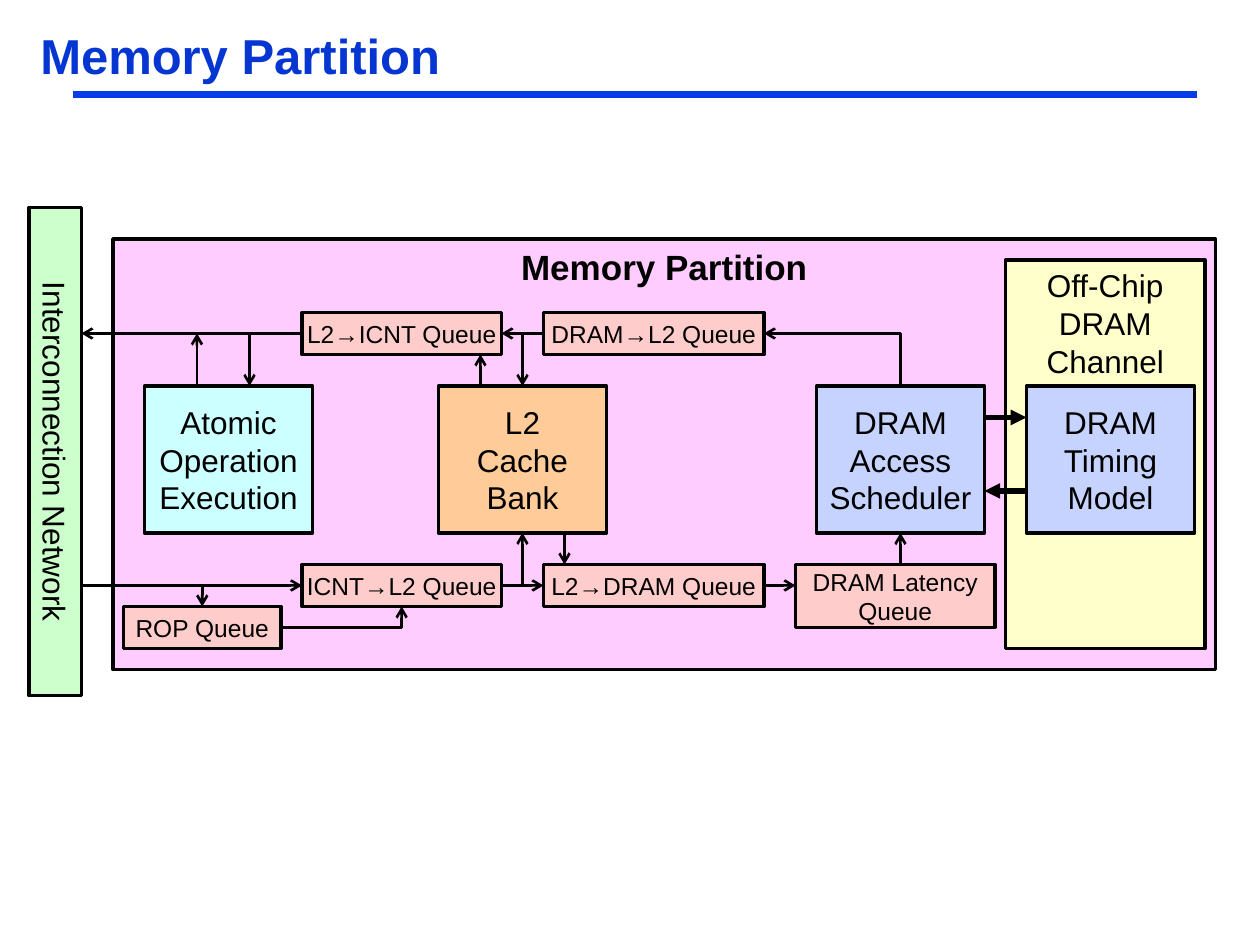
from lxml.etree import SubElement
from pptx import Presentation
from pptx.dml.color import RGBColor
from pptx.enum.shapes import MSO_CONNECTOR, MSO_SHAPE
from pptx.enum.text import MSO_ANCHOR, PP_ALIGN
from pptx.oxml.ns import qn
from pptx.util import Inches, Pt

COLORS = {
    "title": "0536D2", "rule": "063DE8", "black": "000000",
    "network": "CCFFCC", "partition": "FFCCFF", "cache": "FFCC99",
    "dram": "C5D3FE", "channel": "FFFFCC", "atomic": "CCFFFF", "queue": "FFCCCC",
}


def rgb(name):
    return RGBColor.from_string(COLORS[name])


def write(tf, text, size=18, bold=False, color="black", align=PP_ALIGN.CENTER,
          anchor=MSO_ANCHOR.MIDDLE, inset=0.05, spacing=None):
    """Fill a text frame, one paragraph per line of text."""
    tf.word_wrap = True
    tf.vertical_anchor = anchor
    tf.margin_left = tf.margin_right = Inches(inset)
    tf.margin_top = tf.margin_bottom = Inches(min(inset, 0.05))
    for i, line in enumerate(text.split("\n")):
        p = tf.add_paragraph() if i else tf.paragraphs[0]
        p.alignment = align
        if spacing:
            p.line_spacing = spacing
        r = p.add_run()
        r.text = line
        r.font.name = "Arial"
        r.font.size = Pt(size)
        r.font.bold = bold
        r.font.color.rgb = rgb(color)


class Diagram:
    """A slide drawn on a grid of 12 cells to the inch."""
    CELL = 1 / 12
    OFFSET = -0.02

    def __init__(self, slide):
        self.s = slide

    def at(self, cells):
        return Inches(self.OFFSET + cells * self.CELL)

    def title(self, text):
        box = self.s.shapes.add_textbox(Inches(0.25), Inches(0.2), Inches(8.92), Inches(0.5))
        write(box.text_frame, text, size=28, bold=True, color="title", align=PP_ALIGN.LEFT,
              anchor=MSO_ANCHOR.BOTTOM, inset=0.07, spacing=0.87)
        box.text_frame.margin_bottom = Inches(0.03)
        rule = self.s.shapes.add_connector(
            MSO_CONNECTOR.STRAIGHT, Inches(0.58), Inches(0.75), Inches(9.5), Inches(0.75))
        self.style_line(rule, 4.5, "rule")

    def box(self, x, y, w, h, fill, text, turned=False, **fmt):
        """Add a labelled rectangle; turned runs its text downwards."""
        if turned:
            x, y, w, h = x + (w - h) / 2, y + (h - w) / 2, h, w
        sp = self.s.shapes.add_shape(
            MSO_SHAPE.RECTANGLE, self.at(x), self.at(y),
            Inches(w * self.CELL), Inches(h * self.CELL))
        sp.rotation = 90 if turned else 0
        sp.shadow.inherit = False
        sp.fill.solid()
        sp.fill.fore_color.rgb = rgb(fill)
        sp.line.color.rgb = rgb("black")
        sp.line.width = Pt(2)
        write(sp.text_frame, text, **fmt)

    def block(self, x, fill, text):
        self.box(x, 37, 16, 14, fill, text)

    def queue(self, x, y, w, text, h=4):
        self.box(x, y, w, h, "queue", text, size=14, inset=0)

    def style_line(self, line, width, color="black"):
        line.line.color.rgb = rgb(color)
        line.line.width = Pt(width)
        SubElement(line._element.spPr, qn("a:effectLst"))

    def arrow(self, x1, y1, x2, y2, width=1.5, head="arrow", end="tailEnd"):
        """Join two points; an elbow runs across first, then up or down."""
        bent = x1 != x2 and y1 != y2
        kind = MSO_CONNECTOR.ELBOW if bent else MSO_CONNECTOR.STRAIGHT
        line = self.s.shapes.add_connector(
            kind, self.at(x1), self.at(y1), self.at(x2), self.at(y2))
        if bent:
            line._element.spPr.find(qn("a:prstGeom")).set("prst", "bentConnector2")
        self.style_line(line, width)
        SubElement(line.line._get_or_add_ln(), qn("a:" + end), type=head)


def main():
    prs = Presentation()
    prs.slide_width, prs.slide_height = Inches(10), Inches(7.5)
    d = Diagram(prs.slides.add_slide(prs.slide_layouts[6]))
    d.title("Memory Partition")

    d.box(3, 20, 5, 46.5, "network", "Interconnection Network", turned=True)
    d.box(11, 23, 105, 41, "partition", "Memory Partition", size=20, bold=True,
          anchor=MSO_ANCHOR.TOP)
    d.box(96, 25, 19, 37, "channel", "Off-Chip DRAM Channel", anchor=MSO_ANCHOR.TOP)

    d.block(14, "atomic", "Atomic\nOperation\nExecution")
    d.block(42, "cache", "L2\nCache\nBank")
    d.block(78, "dram", "DRAM\nAccess\nScheduler")
    d.block(98, "dram", "DRAM\nTiming\nModel")

    d.queue(29, 30, 19, "L2→ICNT Queue")
    d.queue(52, 30, 21, "DRAM→L2 Queue")
    d.queue(12, 58, 15, "ROP Queue")
    d.queue(29, 54, 19, "ICNT→L2 Queue")
    d.queue(52, 54, 21, "L2→DRAM Queue")
    d.queue(76, 54, 19, "DRAM Latency Queue", h=6)

    # Scheduler to timing model and back
    d.arrow(94, 40, 98, 40, width=3, head="triangle")
    d.arrow(98, 47, 94, 47, width=3, head="triangle")

    requests = [
        (8, 56, 29, 56), (9, 56, 19.5, 58), (27, 60, 38.5, 58),
        (48, 56, 52, 56), (48, 56, 50, 51), (54, 51, 54, 54),
        (73, 56, 76, 56), (86, 54, 86, 51),
    ]
    replies = [
        (52, 32, 48, 32), (52, 32, 50, 37), (46, 37, 46, 34),
        (29, 32, 8, 32), (19, 37, 19, 32), (24, 32, 24, 37),
    ]
    for points in requests + replies:
        d.arrow(*points)
    d.arrow(73, 32, 86, 37, end="headEnd")

    prs.save("out.pptx")


if __name__ == "__main__":
    main()
